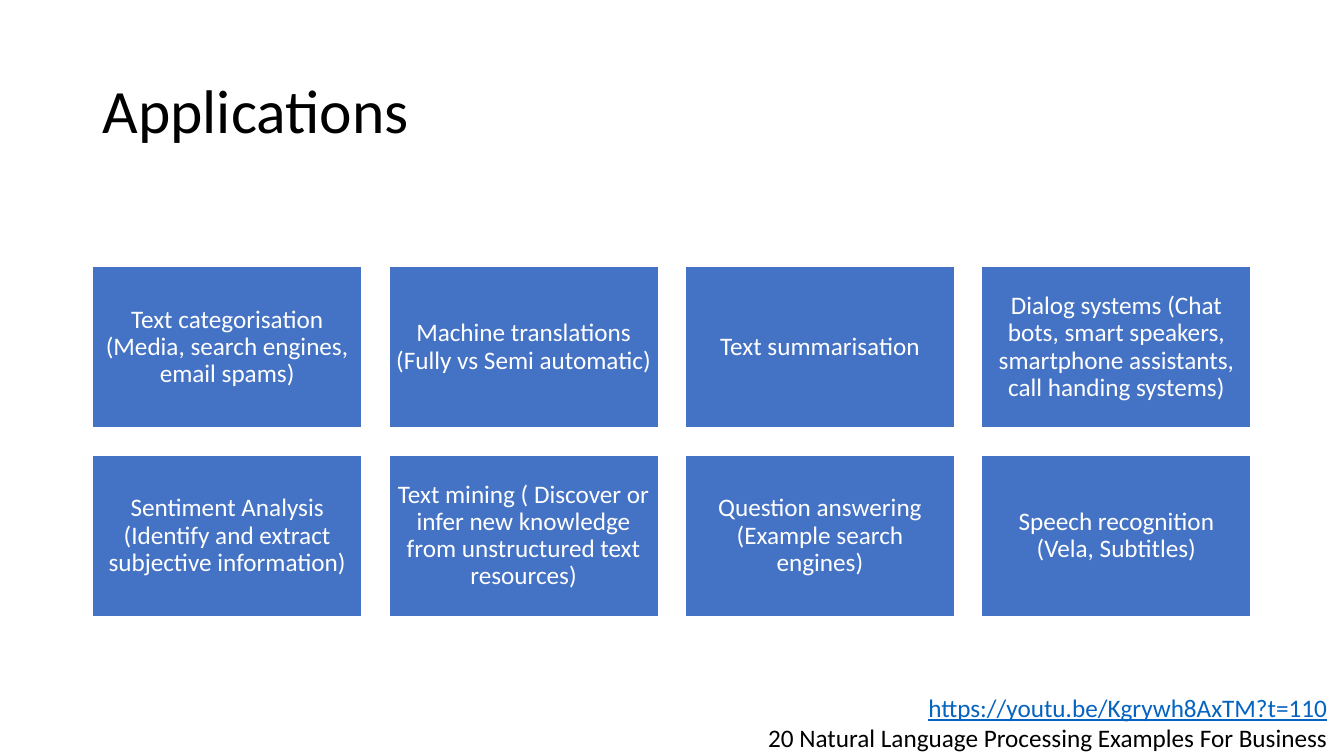
"""Build the slide that lists applications of language processing."""
from dataclasses import dataclass

from pptx import Presentation
from pptx.dml.color import RGBColor
from pptx.enum.shapes import MSO_SHAPE
from pptx.enum.text import MSO_ANCHOR, PP_ALIGN
from pptx.util import Cm, Pt

RECT = MSO_SHAPE.RECTANGLE
MIDDLE = MSO_ANCHOR.MIDDLE
LEFT, CENTER, RIGHT = PP_ALIGN.LEFT, PP_ALIGN.CENTER, PP_ALIGN.RIGHT


@dataclass(frozen=True)
class Theme:
    font: str = "Calibri"
    ink: str = "000000"
    paper: str = "FFFFFF"
    tile: str = "4472C4"
    link: str = "0563C1"
    title: int = 44
    body: int = 18


@dataclass(frozen=True)
class Tile:
    text: str
    col: int
    row: int


THEME = Theme()
COLS = 4
TILE_W, TILE_H, GAP = 6.79, 4.07, 0.68
GRID_X, GRID_Y = 2.33, 6.72
INSET = 0.18
TOPICS = (
    "Text categorisation (Media, search engines, email spams)",
    "Machine translations (Fully vs Semi automatic)",
    "Text summarisation",
    "Dialog systems (Chat bots, smart speakers, smartphone assistants, call handing systems)",
    "Sentiment Analysis (Identify and extract subjective information)",
    "Text mining ( Discover or infer new knowledge from unstructured text resources)",
    "Question answering (Example search engines)",
    "Speech recognition (Vela, Subtitles)",
)
TILES = [Tile(text, i % COLS, i // COLS) for i, text in enumerate(TOPICS)]


def write(para, text: str, *, size: int = THEME.body, color: str = THEME.ink,
          align=LEFT, space: float = 1.0, under: bool = False) -> None:
    """Put formatted text in a paragraph."""
    para.alignment = align
    para.line_spacing = space
    run = para.add_run()
    run.text = text
    font = run.font
    font.name, font.size, font.underline = THEME.font, Pt(size), under
    font.color.rgb = RGBColor.from_string(color)


def add_title(slide, text: str) -> None:
    """Place and fill the title placeholder."""
    title = slide.shapes.title
    title.left, title.top = Cm(GRID_X), Cm(1.01)
    title.width, title.height = Cm(29.21), Cm(3.68)
    frame = title.text_frame
    frame.vertical_anchor = MIDDLE
    write(frame.paragraphs[0], text, size=THEME.title, space=0.9)


def add_tile(slide, tile: Tile) -> None:
    """Draw one topic in its grid cell."""
    left = GRID_X + tile.col * (TILE_W + GAP)
    top = GRID_Y + tile.row * (TILE_H + GAP)
    box = slide.shapes.add_shape(RECT, Cm(left), Cm(top), Cm(TILE_W), Cm(TILE_H))
    box.shadow.inherit = False
    box.fill.solid()
    box.fill.fore_color.rgb = RGBColor.from_string(THEME.tile)
    box.line.color.rgb = RGBColor.from_string(THEME.paper)
    box.line.width = Pt(1)
    frame = box.text_frame
    frame.word_wrap = True
    frame.vertical_anchor = MIDDLE
    frame.margin_left = frame.margin_right = Cm(INSET)
    frame.margin_top = frame.margin_bottom = Cm(INSET)
    write(frame.paragraphs[0], tile.text, color=THEME.paper, align=CENTER, space=0.9)


def add_credit(slide, url: str, name: str) -> None:
    """Write the web address and its name at the lower right."""
    box = slide.shapes.add_textbox(Cm(16.76), Cm(17.32), Cm(16.94), Cm(1.8))
    frame = box.text_frame
    frame.word_wrap = True
    write(frame.paragraphs[0], url, color=THEME.link, align=RIGHT, under=True)
    write(frame.add_paragraph(), name, align=RIGHT)


def main() -> None:
    """Build and save the deck."""
    deck = Presentation()
    deck.slide_width, deck.slide_height = Cm(33.87), Cm(19.05)
    slide = deck.slides.add_slide(deck.slide_layouts.get_by_name("Title Only"))
    add_title(slide, "Applications")
    for tile in TILES:
        add_tile(slide, tile)
    add_credit(slide, "https://youtu.be/Kgrywh8AxTM?t=110",
               "20 Natural Language Processing Examples For Business")
    deck.save("out.pptx")


if __name__ == "__main__":
    main()
